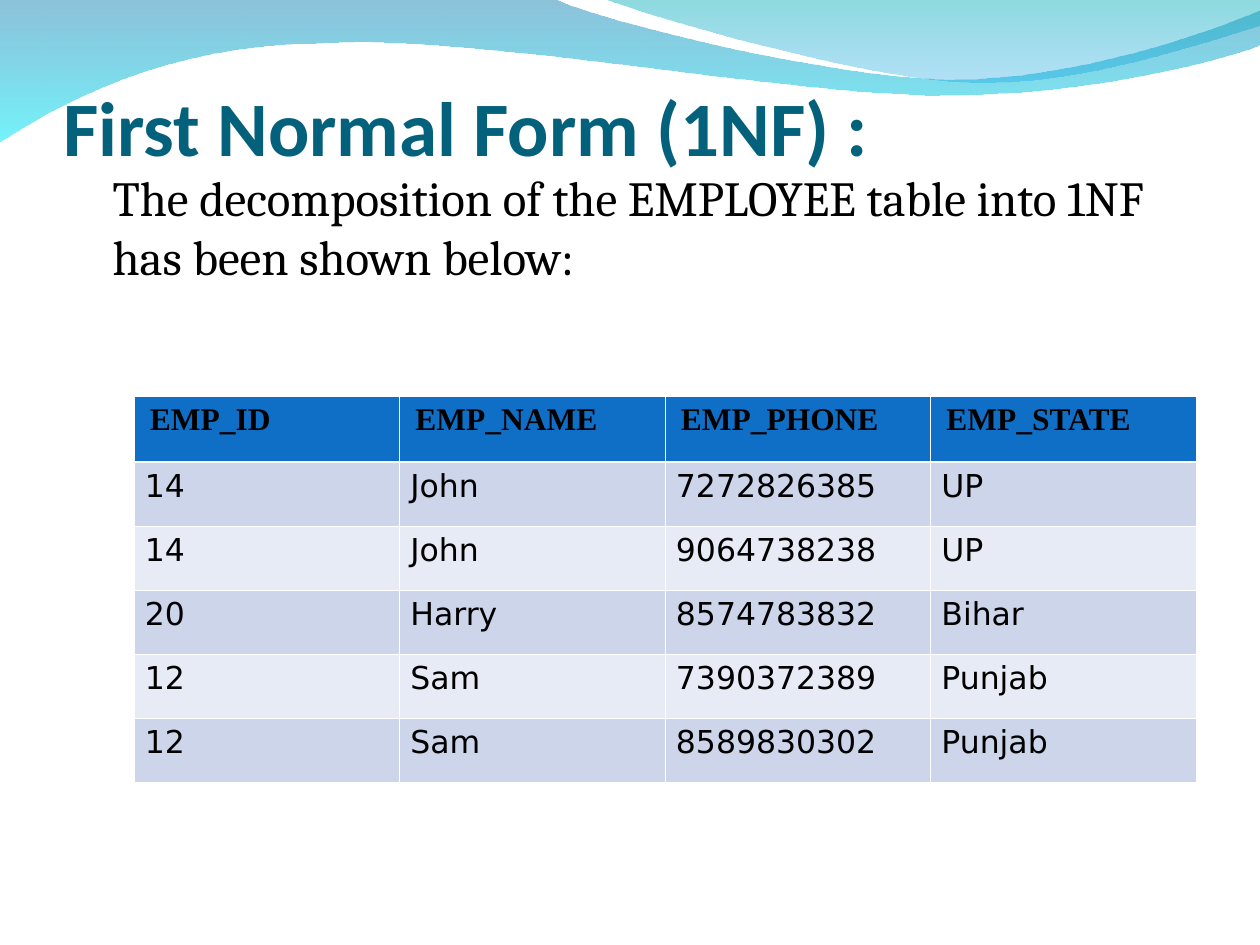
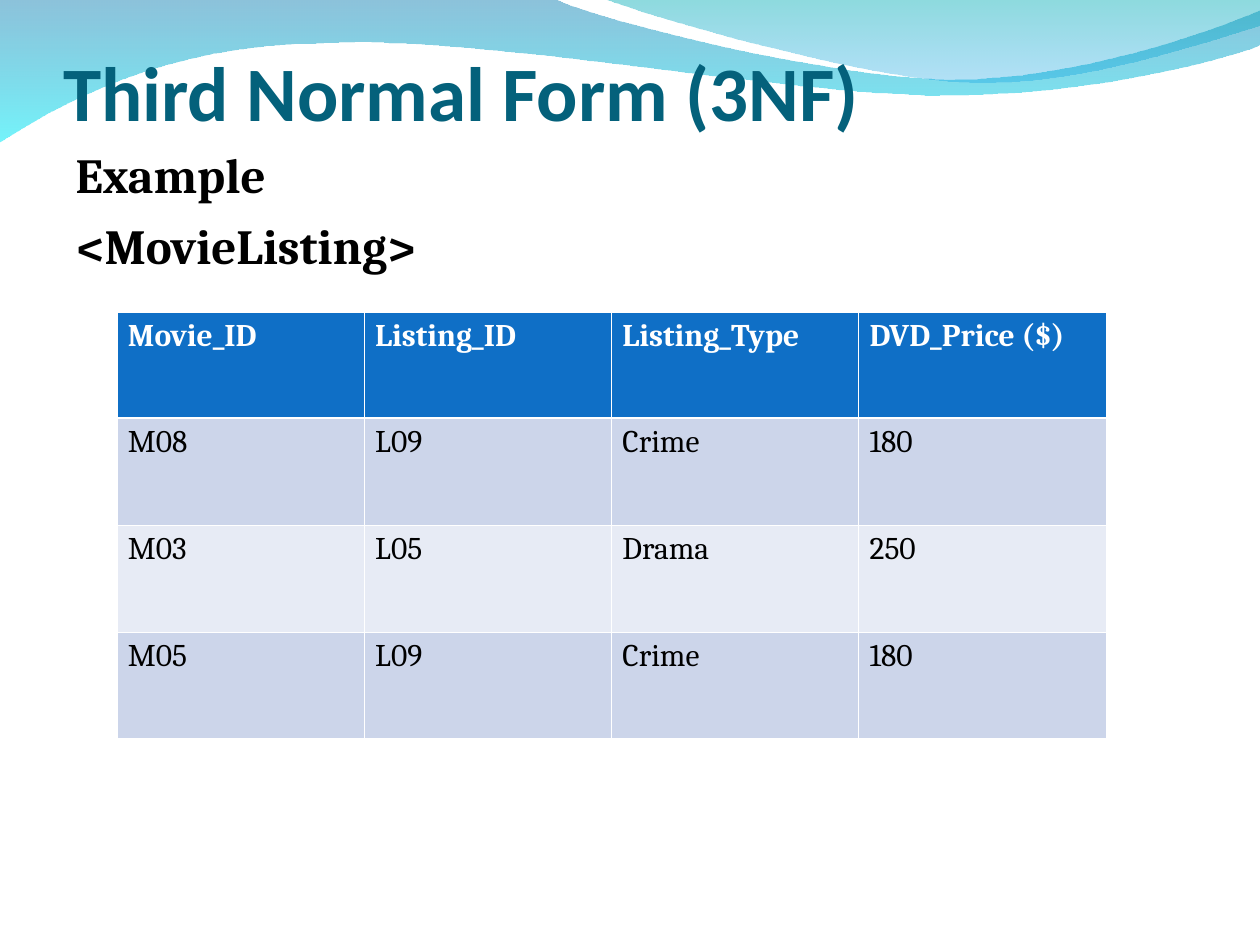
from dataclasses import dataclass

from lxml.etree import SubElement
from pptx import Presentation
from pptx.dml.color import RGBColor
from pptx.enum.text import MSO_ANCHOR as Anchor, MSO_AUTO_SIZE as AutoSize, PP_ALIGN as Align
from pptx.oxml import parse_xml
from pptx.oxml.ns import nsdecls, qn
from pptx.util import Emu, Pt

EMU_PER_PX = 914400 / 126
COLORS = {
    "title": "04617B", "ink": "000000", "white": "FFFFFF",
    "header": "0F6FC6", "odd_row": "CCD5EA", "even_row": "E7EBF5",
    "deep_blue": "0079AF", "cyan": "00EBF8", "teal": "00ADB6", "sky": "009BE5",
}
THIN_RULE, HEADER_RULE = 0.45, 1.47
CELL_MARGIN = 11
Point = tuple[int, int]


@dataclass(frozen=True)
class Wave:
    """A closed outline: one-point segments are lines, three-point ones are curves."""
    start: Point
    segments: list[tuple[Point, ...]]
    stops: list[tuple[str, int]]


@dataclass(frozen=True)
class TextStyle:
    font: str
    size: int
    color: str = "ink"
    bold: bool = False


@dataclass(frozen=True)
class Grid:
    left: int
    top: int
    width: int
    header_height: int
    row_height: int
    header_style: TextStyle
    cell_style: TextStyle
    header_margin: int
    rows: list[list[str]]


@dataclass(frozen=True)
class Page:
    title: str
    title_top: int
    body: list[str]
    body_style: TextStyle
    body_top: int
    body_height: int
    body_indent: int
    grid: Grid


TITLE_STYLE = TextStyle("Calibri", 44, "title", True)

WAVES = [
    Wave((0, -1), [
        ((554, -1),),
        ((600, 21), (837, 79), (955, 79)),
        ((1075, 79), (1207, 33), (1260, 11)),
        ((1261, 45),),
        ((1239, 55), (1096, 96), (940, 95)),
        ((784, 95), (481, 35), (324, 43)),
        ((163, 44), (58, 105), (-1, 142)),
    ], [("deep_blue", 45), ("cyan", 55)]),
    Wave((604, -1), [
        ((641, 14), (859, 78), (969, 82)),
        ((1079, 87), (1211, 40), (1260, 26)),
        ((1260, 0),),
    ], [("teal", 45), ("sky", 30)]),
]

PAGES = [
    Page(
        "First Normal Form (1NF) :", 75,
        ["The decomposition of the EMPLOYEE table into 1NF has been shown below:"],
        TextStyle("Cambria", 28), 161, 709, 37,
        Grid(134, 396, 1062, 66, 64, TextStyle("Times New Roman", 18, bold=True),
             TextStyle("DejaVu Sans", 18), 16, [
                 ["EMP_ID", "EMP_NAME", "EMP_PHONE", "EMP_STATE"],
                 ["14", "John", "7272826385", "UP"],
                 ["14", "John", "9064738238", "UP"],
                 ["20", "Harry", "8574783832", "Bihar"],
                 ["12", "Sam", "7390372389", "Punjab"],
                 ["12", "Sam", "8589830302", "Punjab"],
             ]),
    ),
    Page(
        "Third Normal Form (3NF)", 40,
        ["Example", "<MovieListing>"],
        TextStyle("Cambria", 28, bold=True), 138, 733, 0,
        Grid(117, 312, 989, 106, 107, TextStyle("Cambria", 18, "white", True),
             TextStyle("Cambria", 18), CELL_MARGIN, [
                 ["Movie_ID", "Listing_ID", "Listing_Type", "DVD_Price ($)"],
                 ["M08", "L09", "Crime", "180"],
                 ["M03", "L05", "Drama", "250"],
                 ["M05", "L09", "Crime", "180"],
             ]),
    ),
]


def px(length: float) -> Emu:
    return Emu(round(length * EMU_PER_PX))


def place(shape, left: int, top: int, width: int, height: int) -> None:
    shape.left, shape.top = px(left), px(top)
    shape.width, shape.height = px(width), px(height)


def style_runs(para, style: TextStyle) -> None:
    for span in para.runs:
        span.font.name = style.font
        span.font.size = Pt(style.size)
        span.font.bold = style.bold
        span.font.color.rgb = RGBColor.from_string(COLORS[style.color])


def gradient_fill(stops: list[tuple[str, int]]):
    """A top-to-bottom gradient of colours with their opacity in percent."""
    marks = "".join(
        f'<a:gs pos="{100000 * index // (len(stops) - 1)}"><a:srgbClr val="{COLORS[color]}">'
        f'<a:alpha val="{opacity * 1000}"/></a:srgbClr></a:gs>'
        for index, (color, opacity) in enumerate(stops))
    return parse_xml(f'<a:gradFill {nsdecls("a")} rotWithShape="1"><a:gsLst>{marks}</a:gsLst>'
                     '<a:lin ang="5400000" scaled="0"/></a:gradFill>')


def bend_curves(geometry, segments: list[tuple[Point, ...]]) -> None:
    """Join each three lines that stand for a curve into one cubic curve."""
    lines = iter(list(geometry.iter(qn("a:lnTo"))))
    for segment in segments:
        parts = [next(lines) for _ in segment]
        if len(parts) == 3:
            curve = parse_xml(f'<a:cubicBezTo {nsdecls("a")}/>')
            parts[0].addprevious(curve)
            for part in parts:
                curve.append(part[0])
                part.getparent().remove(part)


def add_waves(slide, layout) -> None:
    """Build the waves on a slide, then move them behind everything in its layout."""
    for depth, wave in enumerate(WAVES):
        builder = slide.shapes.build_freeform(*map(px, wave.start))
        builder.add_line_segments(
            [(px(x), px(y)) for segment in wave.segments for x, y in segment], close=True)
        shape = builder.convert_to_shape()
        shape.name = f"Wave {depth + 1}"
        shape.shadow.inherit = False
        shape.line.fill.background()
        geometry = shape.element.spPr.find(qn("a:custGeom"))
        bend_curves(geometry, wave.segments)
        geometry.addnext(gradient_fill(wave.stops))
        layout.shapes.element.insert(2 + depth, shape.element)


def fill_title(slide, page: Page) -> None:
    title = slide.shapes.title
    place(title, 63, page.title_top, 1134, 97)
    frame = title.text_frame
    frame.text = page.title
    frame.auto_size = AutoSize.NONE
    frame.vertical_anchor = Anchor.BOTTOM
    frame.margin_left = frame.margin_right = frame.margin_bottom = 0
    frame.margin_top = px(6)
    frame.paragraphs[0].alignment = Align.LEFT
    style_runs(frame.paragraphs[0], TITLE_STYLE)


def fill_body(slide, page: Page) -> None:
    body = slide.placeholders[1]
    place(body, 63, page.body_top, 1134, page.body_height)
    frame = body.text_frame
    frame.text = "\n".join(page.body)
    frame.auto_size = AutoSize.NONE
    for index, para in enumerate(frame.paragraphs):
        properties = para._p.get_or_add_pPr()
        properties.set("marL", str(px(page.body_indent)))
        properties.set("indent", "0")
        SubElement(properties, qn("a:buNone"))
        para.space_before = Pt(7 if index else 0)
        style_runs(para, page.body_style)


def add_borders(cell, top: float, bottom: float) -> None:
    properties = cell._tc.get_or_add_tcPr()
    for side, width in zip("LRTB", (THIN_RULE, THIN_RULE, top, bottom)):
        line = SubElement(properties, qn(f"a:ln{side}"), w=str(Pt(width)))
        fill = SubElement(line, qn("a:solidFill"))
        SubElement(fill, qn("a:srgbClr"), val=COLORS["white"])


def add_grid(slide, grid: Grid) -> None:
    row_count, column_count = len(grid.rows), len(grid.rows[0])
    height = grid.header_height + grid.row_height * (row_count - 1)
    table = slide.shapes.add_table(row_count, column_count, px(grid.left), px(grid.top),
                                   px(grid.width), px(height)).table
    for row_index, texts in enumerate(grid.rows):
        is_header = row_index == 0
        table.rows[row_index].height = px(grid.header_height if is_header else grid.row_height)
        row_color = "header" if is_header else "odd_row" if row_index % 2 else "even_row"
        for column_index, text in enumerate(texts):
            cell = table.cell(row_index, column_index)
            cell.text = text
            margin = grid.header_margin if is_header else CELL_MARGIN
            cell.margin_left = cell.margin_right = px(margin)
            cell.margin_top = cell.margin_bottom = px(6)
            add_borders(cell, HEADER_RULE if row_index == 1 else THIN_RULE,
                        HEADER_RULE if is_header else THIN_RULE)
            cell.fill.solid()
            cell.fill.fore_color.rgb = RGBColor.from_string(COLORS[row_color])
            style_runs(cell.text_frame.paragraphs[0],
                       grid.header_style if is_header else grid.cell_style)


def main() -> None:
    deck = Presentation()
    deck.slide_width, deck.slide_height = px(1260), px(945)
    layout = deck.slide_layouts[1]
    for page in PAGES:
        slide = deck.slides.add_slide(layout)
        fill_title(slide, page)
        fill_body(slide, page)
        add_grid(slide, page.grid)
    add_waves(deck.slides[0], layout)
    deck.save("out.pptx")


if __name__ == "__main__":
    main()
